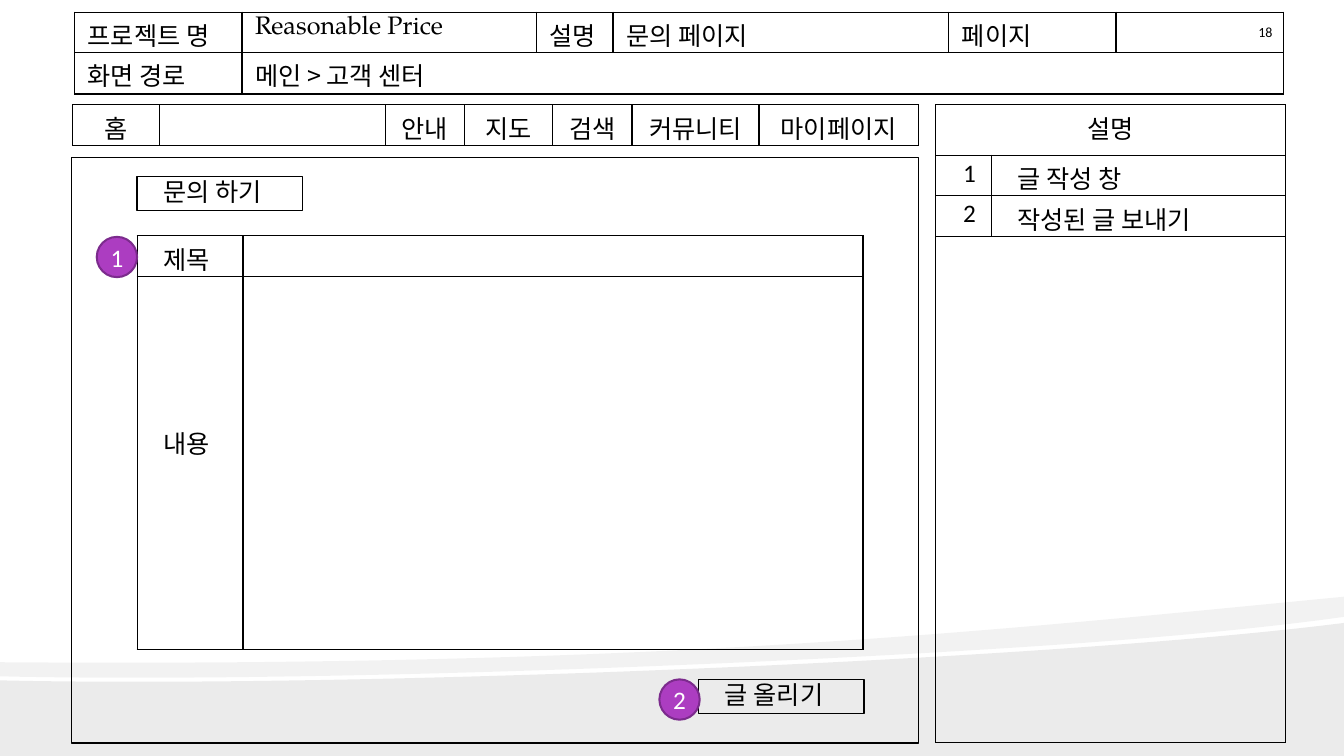
from lxml import etree
from pptx import Presentation
from pptx.dml.color import RGBColor
from pptx.enum.shapes import MSO_SHAPE
from pptx.enum.text import MSO_ANCHOR, PP_ALIGN
from pptx.oxml.ns import qn
from pptx.util import Inches, Pt

RECT, OVAL = MSO_SHAPE.RECTANGLE, MSO_SHAPE.OVAL
TOP, MIDDLE = MSO_ANCHOR.TOP, MSO_ANCHOR.MIDDLE
LEFT, CENTER, RIGHT = PP_ALIGN.LEFT, PP_ALIGN.CENTER, PP_ALIGN.RIGHT

COLORS = {"ink": "000000", "white": "FFFFFF", "badge": "AC3DC1", "badge_line": "7C2B8D"}
HANGUL, SERIF, SANS, NAV = "Noto Sans CJK KR", "TeX Gyre Pagella", "Calibri", "Arial"


def color(name):
    """Return the named palette colour."""
    return RGBColor.from_string(COLORS[name])


def bezier(p0, p1, p2, p3, steps=40):
    """Return points along a cubic curve, without its start."""
    points = []
    for i in range(1, steps + 1):
        t = i / steps
        u = 1 - t
        points.append(tuple(
            u**3 * a + 3 * u * u * t * b + 3 * u * t * t * c + t**3 * d
            for a, b, c, d in zip(p0, p1, p2, p3)))
    return points


class Wireframe:
    """Draws the elements of a screen plan on one slide."""

    def __init__(self, slide):
        self.slide = slide
        self.shapes = slide.shapes

    def label(self, p, text, font=HANGUL, size=18, ink="ink", align=LEFT):
        """Fill a paragraph with styled text."""
        p.text = text
        p.alignment = align
        p.font.size = Pt(size)
        p.font.color.rgb = color(ink)
        p.font.name = font
        props = p._p.pPr.find(qn("a:defRPr"))
        etree.SubElement(props, qn("a:ea")).set("typeface", HANGUL)

    def wave(self, points, alpha):
        """Draw a translucent background band."""
        builder = self.shapes.build_freeform(
            Inches(points[0][0]), Inches(points[0][1]))
        builder.add_line_segments([(Inches(x), Inches(y)) for x, y in points[1:]])
        sp = builder.convert_to_shape()
        sp.shadow.inherit = False
        sp.line.fill.background()
        sp.fill.solid()
        sp.fill.fore_color.rgb = color("ink")
        node = sp._element.spPr.find(".//" + qn("a:srgbClr"))
        etree.SubElement(node, qn("a:alpha")).set("val", str(alpha * 1000))

    def box(self, left, top, width, height):
        """Draw an unfilled outlined rectangle."""
        sp = self.shapes.add_shape(
            RECT, Inches(left), Inches(top), Inches(width), Inches(height))
        sp.shadow.inherit = False
        sp.fill.background()
        sp.line.color.rgb = color("ink")
        sp.line.width = Pt(1)
        return sp

    def button(self, left, top, text):
        """Draw a labelled button."""
        tf = self.box(left, top, 1.64, 0.34).text_frame
        tf.word_wrap = True
        tf.vertical_anchor = TOP
        tf.margin_left = Inches(0.26)
        tf.margin_top = tf.margin_right = tf.margin_bottom = 0
        self.label(tf.paragraphs[0], text)

    def badge(self, left, top, text):
        """Draw a numbered round marker."""
        sp = self.shapes.add_shape(
            OVAL, Inches(left), Inches(top), Inches(0.4), Inches(0.4))
        sp.shadow.inherit = False
        sp.fill.solid()
        sp.fill.fore_color.rgb = color("badge")
        sp.line.color.rgb = color("badge_line")
        sp.line.width = Pt(1.44)
        tf = sp.text_frame
        tf.vertical_anchor = MIDDLE
        tf.margin_left = tf.margin_top = tf.margin_right = tf.margin_bottom = 0
        self.label(tf.paragraphs[0], text, SANS, ink="white", align=CENTER)

    def border(self, cell):
        """Rule all four sides of a cell."""
        props = cell._tc.get_or_add_tcPr()
        for i, side in enumerate(("lnL", "lnR", "lnT", "lnB")):
            ln = etree.Element(qn("a:" + side), w=str(Pt(1)))
            fill = etree.SubElement(ln, qn("a:solidFill"))
            etree.SubElement(fill, qn("a:srgbClr"), val=COLORS["ink"])
            props.insert(i, ln)

    def table(self, left, top, cols, rows, entries, merges=()):
        """Draw a ruled table; entries are (row, col, text, side, top, style)."""
        table = self.shapes.add_table(
            len(rows), len(cols), Inches(left), Inches(top),
            Inches(sum(cols)), Inches(sum(rows))).table
        table.first_row = table.horz_banding = False
        for column, width in zip(table.columns, cols):
            column.width = Inches(width)
        for row, height in zip(table.rows, rows):
            row.height = Inches(height)
        for cell in table.iter_cells():
            cell.margin_left = cell.margin_right = 0
            cell.margin_top = cell.margin_bottom = 0
            cell.fill.background()
            self.border(cell)
        for row, first, last in merges:
            table.cell(row, first).merge(table.cell(row, last))
        for row, col, text, side, inset, style in entries:
            cell = table.cell(row, col)
            cell.margin_top = Inches(inset)
            if style.get("align") == RIGHT:
                cell.margin_right = Inches(side)
            else:
                cell.margin_left = Inches(side)
            self.label(cell.text_frame.paragraphs[0], text, **style)


def main():
    """Build the inquiry page plan."""
    prs = Presentation()
    prs.slide_width, prs.slide_height = Inches(13.33), Inches(7.5)
    s = Wireframe(prs.slides.add_slide(prs.slide_layouts[6]))

    s.wave([(13.33, 6.18), (13.33, 7.5), (0, 7.5), (0, 6.75)]
           + bezier((0, 6.75), (3.52, 6.83), (10.42, 6.55), (13.33, 6.18)), 8)
    s.wave([(13.33, 5.92), (13.33, 6.12)]
           + bezier((13.33, 6.12), (12.55, 6.23), (11.49, 6.33), (10.29, 6.41))
           + bezier((10.29, 6.41), (6.98, 6.63), (2.58, 6.77), (0, 6.71))
           + [(0, 6.57)]
           + bezier((0, 6.57), (6.52, 6.62), (9.71, 6.27), (13.33, 5.92)), 5)

    s.table(0.74, 0.12, [1.66, 2.92, 0.76, 3.33, 1.66, 1.66], [0.4, 0.41], [
        (0, 0, "프로젝트 명", 0.13, 0.04, {}),
        (0, 1, "Reasonable Price", 0.13, 0.04, {"font": SERIF}),
        (0, 2, "설명", 0.13, 0.04, {}),
        (0, 3, "문의 페이지", 0.13, 0.04, {}),
        (0, 4, "페이지", 0.13, 0.04, {}),
        (0, 5, "18", 0.11, 0.12, {"font": SANS, "size": 10, "align": RIGHT}),
        (1, 0, "화면 경로", 0.13, 0.04, {}),
        (1, 1, "메인 > 고객 센터", 0.13, 0.04, {}),
    ], [(1, 1, 5)])

    s.box(0.71, 1.56, 8.4, 5.81)
    s.table(1.36, 2.34, [1.05, 6.15], [0.4, 3.7], [
        (0, 0, "제목", 0.26, 0.04, {}),
        (1, 0, "내용", 0.26, 1.47, {}),
    ])
    s.button(1.36, 1.75, "문의 하기")
    s.badge(0.96, 2.35, "1")
    s.button(6.93, 6.74, "글 올리기")
    s.badge(6.54, 6.74, "2")

    number = {"font": SANS, "align": RIGHT}
    s.table(9.28, 1.04, [0.55, 2.92], [0.5, 0.4, 0.4, 5.02], [
        (0, 0, "설명", 0, 0.04, {"align": CENTER}),
        (1, 0, "1", 0.15, 0.03, number),
        (1, 1, "글 작성 창", 0.26, 0.04, {}),
        (2, 0, "2", 0.15, 0.03, number),
        (2, 1, "작성된 글 보내기", 0.26, 0.04, {}),
    ], [(0, 0, 1), (3, 0, 1)])

    menu = ["홈", "", "안내", "지도", "검색", "커뮤니티", "마이페이지"]
    s.table(0.72, 1.04, [0.86, 2.24, 0.79, 0.87, 0.79, 1.26, 1.58], [0.4], [
        (0, i, name, 0, 0.04, {"font": NAV if i < 3 else SERIF, "align": CENTER})
        for i, name in enumerate(menu) if name
    ])

    prs.save("out.pptx")


if __name__ == "__main__":
    main()
